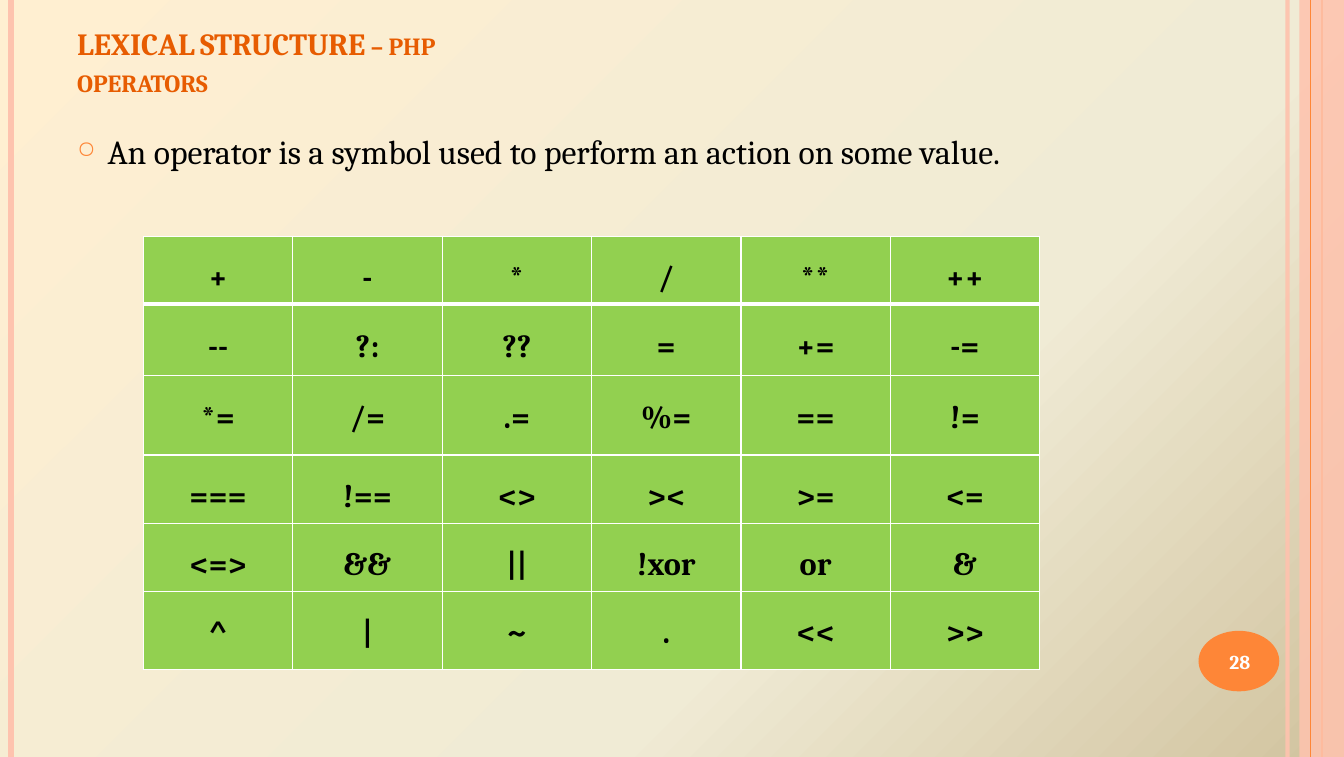
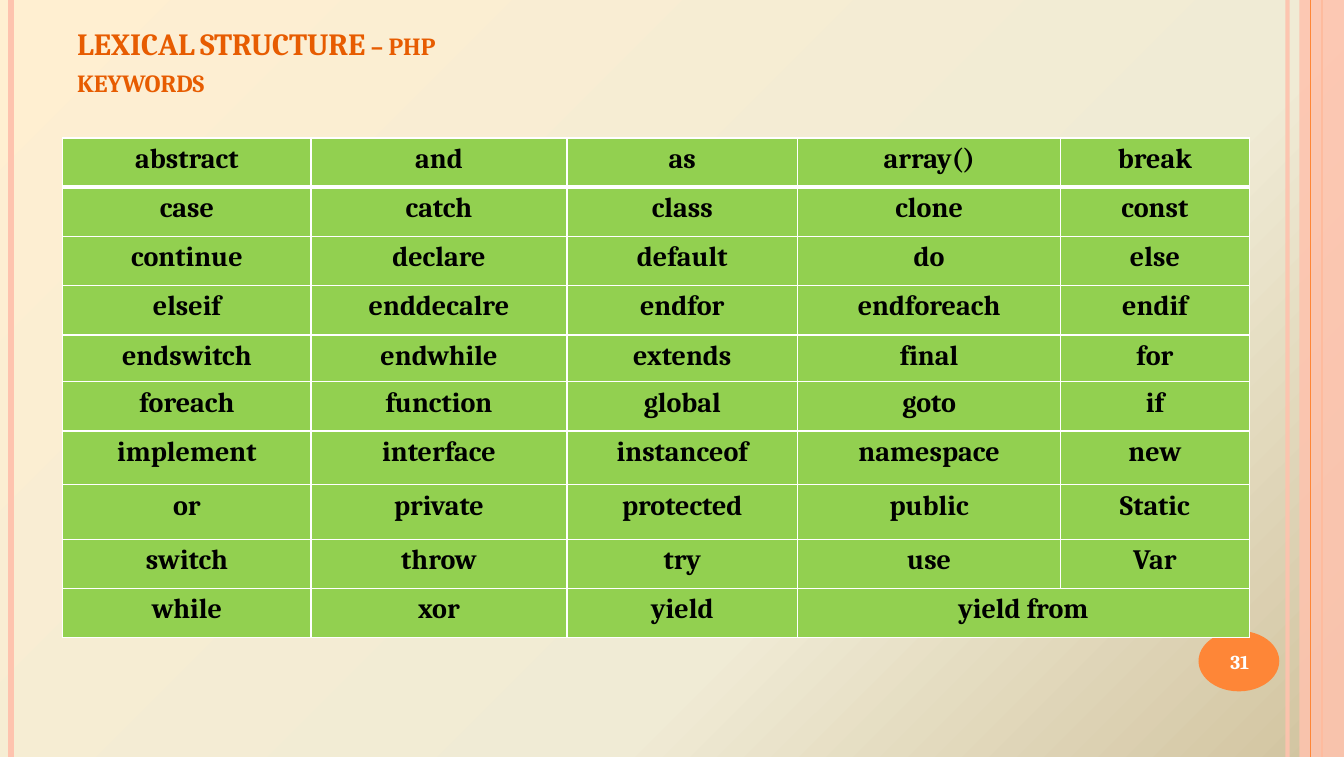
from copy import deepcopy

from lxml import etree
from pptx import Presentation
from pptx.dml.color import RGBColor
from pptx.enum.shapes import MSO_CONNECTOR, MSO_SHAPE
from pptx.enum.text import MSO_ANCHOR, PP_ALIGN
from pptx.oxml.ns import qn
from pptx.util import Pt

LINE = MSO_CONNECTOR.STRAIGHT
RECT, OVAL = MSO_SHAPE.RECTANGLE, MSO_SHAPE.OVAL
TOP, MIDDLE, BOTTOM = MSO_ANCHOR.TOP, MSO_ANCHOR.MIDDLE, MSO_ANCHOR.BOTTOM
LEFT, CENTER = PP_ALIGN.LEFT, PP_ALIGN.CENTER

WIDTH, HEIGHT = 958.3, 540
FONT = "Cambria"
ORANGE, PINK, RUST = "FE8637", "FEC3AE", "E75C01"
GREEN, WHITE, BLACK = "92D050", "FFFFFF", "000000"
STOPS = [(0, "FFEFD1"), (0.65, "F0EBD5"), (1, "D1C39F")]

SIGNS = """
+, -, *, /, **, ++
--, ?:, ??, =, +=, -=
*=, /=, .=, %=, ==, !=
===, !==, <>, ><, >=, <=
<=>, &&, ||, !xor, or, &
^, |, ~, ., <<, >>
"""
WORDS = """
abstract, and, as, array(), break
case, catch, class, clone, const
continue, declare, default, do, else
elseif, enddecalre, endfor, endforeach, endif
endswitch, endwhile, extends, final, for
foreach, function, global, goto, if
implement, interface, instanceof, namespace, new
or, private, protected, public, Static
switch, throw, try, use, Var
while, xor, yield, yield from
"""


def rgb(color):
    return RGBColor.from_string(color)


def add(parent, tag, **attrs):
    return etree.SubElement(parent, qn(tag), attrs)


def fade(shape, percent):
    for color in shape.element.spPr.iter(qn("a:srgbClr")):
        add(color, "a:alpha", val=str(percent * 1000))


class Deck:
    def __init__(self):
        self.prs = Presentation()
        self.prs.slide_width, self.prs.slide_height = Pt(WIDTH), Pt(HEIGHT)
        self.slide = None

    # Shared page: background, side bands, badge and title
    def page(self, title):
        self.slide = self.prs.slides.add_slide(self.prs.slide_layouts[6])
        self.backdrop()
        self.rule(918, PINK, 3, 93)
        self.rule(8, PINK, 4.5)
        self.rule(942.5, ORANGE, 1.5)
        self.shape(RECT, (926.6, 0, WIDTH - 926.6, HEIGHT), PINK, 87)
        self.rule(934.5, ORANGE, 0.75)
        self.shape(OVAL, (854.6, 450, 57.6, 43.2), ORANGE)
        box = self.text((48, 11.5, 633.5, 62.5), title, 22, RUST, True, BOTTOM)
        for font in box.element.iter(qn("a:defRPr")):
            font.set("cap", "small")

    def backdrop(self):
        fill = self.slide.background.fill
        fill.gradient()
        stops = self.slide.element.find(".//" + qn("a:gsLst"))
        stops.append(deepcopy(stops[0]))
        for stop, (place, color) in zip(fill.gradient_stops, STOPS):
            stop.position = place
            stop.color.rgb = rgb(color)
        fill.gradient_angle = 315

    def rule(self, x, color, width, alpha=100):
        line = self.slide.shapes.add_connector(LINE, Pt(x), 0, Pt(x), Pt(HEIGHT))
        line.line.color.rgb = rgb(color)
        line.line.width = Pt(width)
        add(line.element.spPr, "a:effectLst")
        if alpha < 100:
            fade(line, alpha)

    def shape(self, kind, area, color, alpha=100):
        shape = self.slide.shapes.add_shape(kind, *map(Pt, area))
        shape.shadow.inherit = False
        shape.fill.solid()
        shape.fill.fore_color.rgb = rgb(color)
        shape.line.fill.background()
        if alpha < 100:
            fade(shape, alpha)

    # Text
    def style(self, para, size, color, bold, align):
        para.alignment = align
        para.font.name, para.font.size = FONT, Pt(size)
        para.font.bold = bold
        para.font.color.rgb = rgb(color)

    def text(self, area, words, size, color, bold=False, anchor=TOP, align=LEFT):
        box = self.slide.shapes.add_textbox(*map(Pt, area))
        frame = box.text_frame
        frame.word_wrap = True
        frame.vertical_anchor = anchor
        para = frame.paragraphs[0]
        para.text = words
        self.style(para, size, color, bold, align)
        return box

    def bullet(self, area, words):
        box = self.text(area, words, 24, BLACK)
        box.text_frame.paragraphs[0].space_before = Pt(6)
        props = box.element.find(".//" + qn("a:pPr"))
        props.set("marL", str(Pt(21.6)))
        props.set("indent", str(Pt(-21.6)))
        marks = etree.Element("marks")
        add(add(marks, "a:buClr"), "a:srgbClr", val=ORANGE)
        add(marks, "a:buSzPct", val="70000")
        add(marks, "a:buChar", char="○")
        font = props.find(qn("a:defRPr"))
        for mark in list(marks):
            font.addprevious(mark)

    def number(self, value):
        area = (852, 451.5, 64, 41)
        self.text(area, str(value), 14, WHITE, True, MIDDLE, CENTER)

    # Table; a short row joins its last cell with the rest
    def table(self, left, top, cols, rows, source, size, space=1.0):
        frame = self.slide.shapes.add_table(
            len(rows), len(cols), Pt(left), Pt(top), Pt(sum(cols)), Pt(sum(rows)))
        table = frame.table
        table.first_row = table.horz_banding = False
        for col, width in zip(table.columns, cols):
            col.width = Pt(width)
        for y, line in enumerate(source.strip().splitlines()):
            table.rows[y].height = Pt(rows[y])
            words = line.split(", ")
            for x in range(len(cols)):
                cell = table.cell(y, x)
                self.edges(cell, y)
                cell.fill.solid()
                cell.fill.fore_color.rgb = rgb(GREEN)
                cell.margin_left = cell.margin_right = Pt(9.5)
                if x < len(words):
                    para = cell.text_frame.paragraphs[0]
                    para.text = words[x]
                    para.line_spacing = space
                    self.style(para, size, BLACK, True, CENTER)
            if len(words) < len(cols):
                table.cell(y, len(words) - 1).merge(table.cell(y, len(cols) - 1))

    def edges(self, cell, row):
        props = cell._tc.get_or_add_tcPr()
        heavy = {0: "a:lnB", 1: "a:lnT"}.get(row)
        for tag in ("a:lnL", "a:lnR", "a:lnT", "a:lnB"):
            edge = add(props, tag, w=str(Pt(3 if tag == heavy else 1)))
            add(add(edge, "a:solidFill"), "a:srgbClr", val=WHITE)


def main():
    deck = Deck()

    # Operators
    deck.page("LEXICAL STRUCTURE – php\noperators")
    deck.bullet((48, 90, 782.5, 90),
                "An operator is a symbol used to perform an action on some value.")
    deck.table(102.3, 168.5, [106.5] * 6, [48, 51, 56.5, 48.5, 48, 56],
               SIGNS, 23, 1.5)
    deck.number(28)

    # Keywords
    deck.page("LEXICAL STRUCTURE – php\nkeywords")
    deck.table(44.8, 98.5, [177, 182.5, 164.5, 187.5, 134.5],
               [35, 35, 35, 35.5, 33.5, 35, 38.5, 39, 35, 35], WORDS, 20)
    deck.number(31)

    deck.prs.save("out.pptx")


if __name__ == "__main__":
    main()
